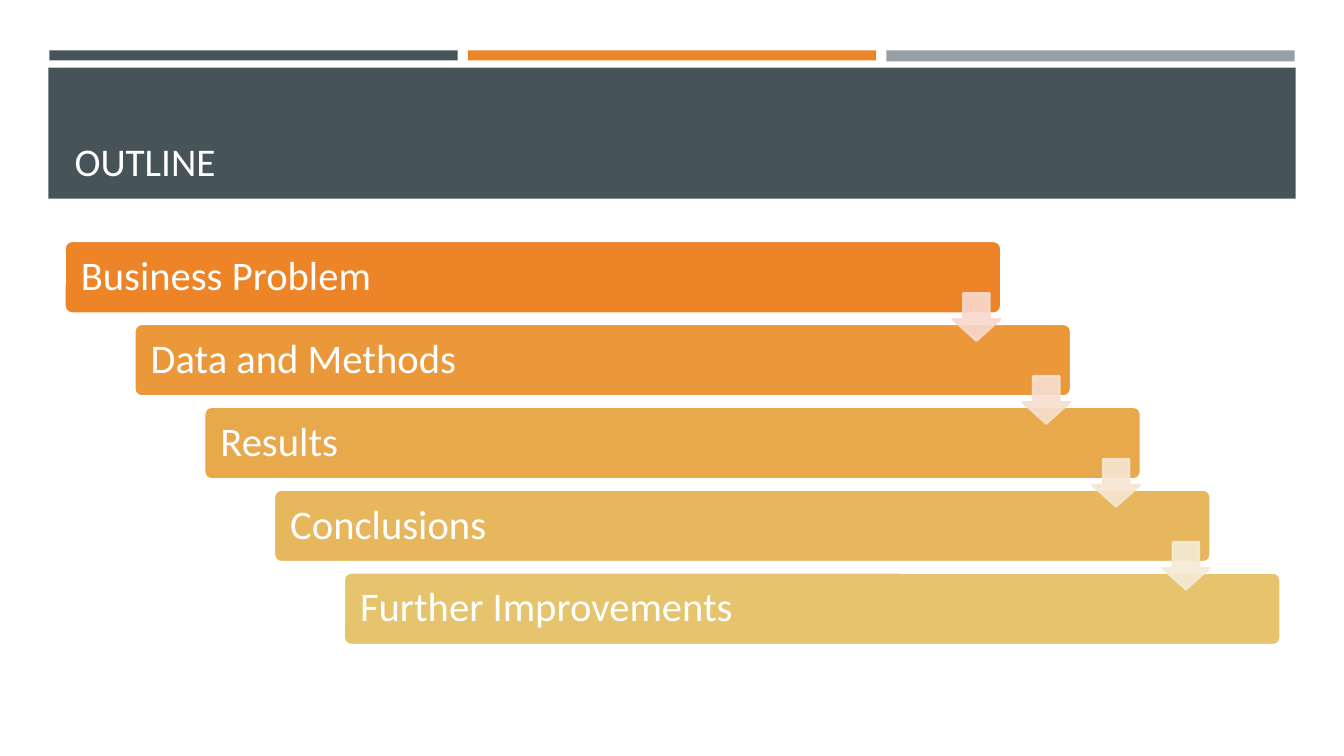
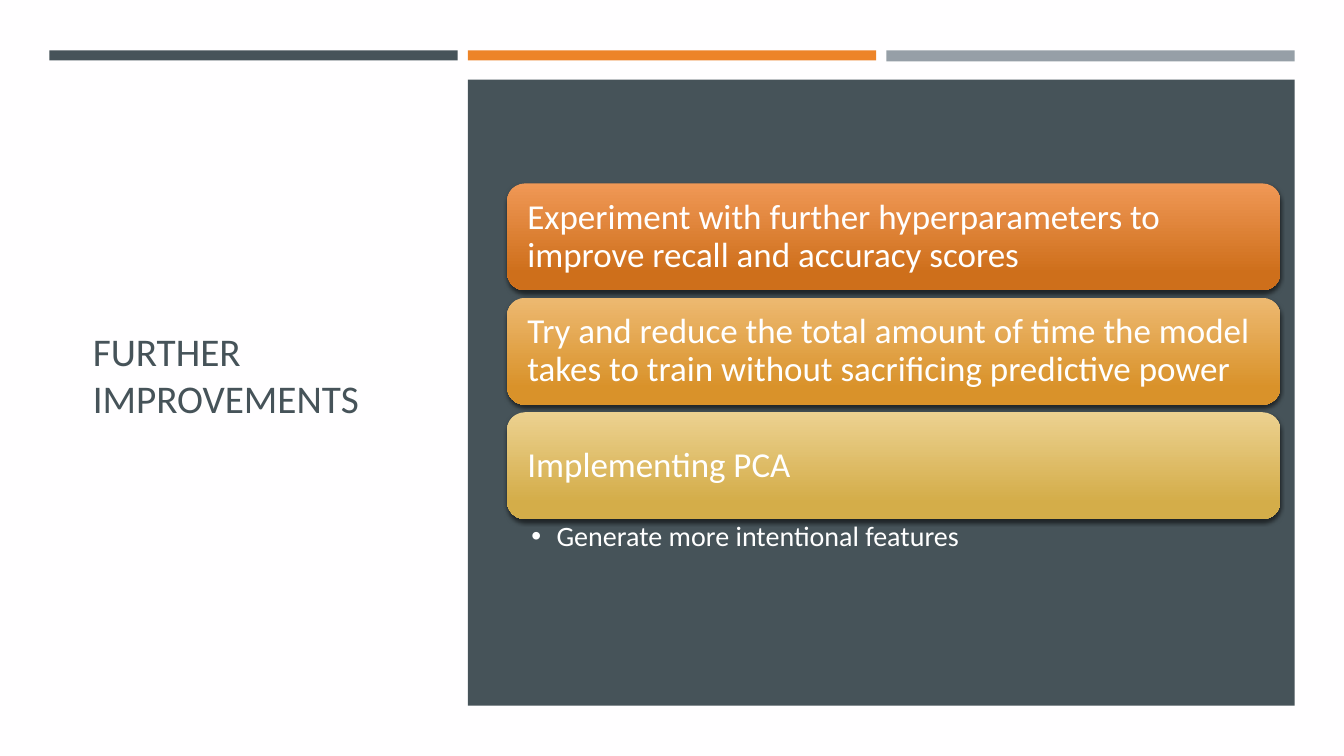
from pptx import Presentation
from pptx.dml.color import RGBColor
from pptx.enum.shapes import MSO_SHAPE
from pptx.enum.text import MSO_ANCHOR, MSO_AUTO_SIZE, PP_ALIGN
from pptx.oxml import parse_xml
from pptx.oxml.ns import nsdecls, qn
from pptx.util import Inches, Pt
from lxml.etree import SubElement

COLORS = {
    "slate": "465359",
    "orange": "ED8428",
    "gray": "969FA7",
    "white": "FFFFFF",
    "paper": "FFFEFF",
}
FONT = "Calibri"
TITLE_SIZE = 28
STRIPES = [("slate", 0.1), ("orange", 0.1), ("gray", 0.11)]

OUTLINE_STEPS = [
    ("Business Problem", "ED8428"),
    ("Data and Methods", "EA983A"),
    ("Results", "E8A94C"),
    ("Conclusions", "E7B75D"),
    ("Further Improvements", "E6C46D"),
]
ARROW_COLORS = ["F8D9CD", "F7DFD0", "F6E5D2", "F5EAD5"]
IMPROVEMENTS = [
    ("Experiment with further hyperparameters to improve recall and accuracy scores",
     "F09856", "CE6F1B"),
    ("Try and reduce the total amount of time the model takes to train "
     "without sacrificing predictive power", "EDB971", "D9922A"),
    ("Implementing PCA", "ECD190", "D4AD49"),
]


def rgb(value):
    return RGBColor.from_string(COLORS.get(value, value))


def place(shape, left, top, width, height):
    shape.left, shape.top = Inches(left), Inches(top)
    shape.width, shape.height = Inches(width), Inches(height)


def add_block(slide, kind, box, color=None, outline=None):
    block = slide.shapes.add_shape(kind, *map(Inches, box))
    block.shadow.inherit = False
    if color:
        block.fill.solid()
        block.fill.fore_color.rgb = rgb(color)
    if outline:
        block.line.color.rgb = rgb(outline)
        block.line.width = Pt(1.75)
    else:
        block.line.fill.background()
    return block


def add_panel(slide, box, color):
    panel = add_block(slide, MSO_SHAPE.RECTANGLE, box, color)
    panel.element.getparent().insert(2, panel.element)


def add_stripes(slide):
    for index, (color, height) in enumerate(STRIPES):
        add_panel(slide, (0.49 + index * 4.15, 0.5, 4.05, height), color)


def write(shape, text, size, color, anchor, margins, line_spacing=1.0):
    frame = shape.text_frame
    frame.word_wrap = True
    frame.auto_size = MSO_AUTO_SIZE.NONE
    frame.vertical_anchor = anchor
    (frame.margin_left, frame.margin_top,
     frame.margin_right, frame.margin_bottom) = map(Inches, margins)
    paragraph = frame.paragraphs[0]
    paragraph.alignment = PP_ALIGN.LEFT
    paragraph.line_spacing = line_spacing
    paragraph.space_before = Pt(0)
    run = paragraph.add_run()
    run.text = text
    run.font.name = FONT
    run.font.size = Pt(size)
    run.font.color.rgb = rgb(color)
    return paragraph


def write_title(slide, text, box, color, anchor):
    place(slide.shapes.title, *box)
    write(slide.shapes.title, text, TITLE_SIZE, color, anchor, (0.1, 0.05, 0.1, 0.05))


def add_step(slide, text, color, left, top):
    step = add_block(slide, MSO_SHAPE.ROUNDED_RECTANGLE,
                     (left, top, 9.29, 0.72), color, "white")
    step.adjustments[0] = 0.1
    write(step, text, 29, "white", MSO_ANCHOR.MIDDLE, (0.14,) * 4, 0.9)


def add_step_arrow(slide, color, left, top):
    arrow = add_block(slide, MSO_SHAPE.DOWN_ARROW, (left, top, 0.47, 0.47), color, color)
    arrow.adjustments[0] = 0.55
    arrow.adjustments[1] = 0.45
    for tint in arrow.element.spPr.iter(qn("a:srgbClr")):
        SubElement(tint, qn("a:alpha"), val="90000")


def add_card(slide, text, top_color, bottom_color, top):
    card = add_block(slide, MSO_SHAPE.ROUNDED_RECTANGLE, (5.03, top, 7.67, 1.06))
    card.fill.gradient()
    card.fill.gradient_angle = 270
    for stop, color, position in zip(card.fill.gradient_stops,
                                     (top_color, bottom_color), (0, 0.84)):
        stop.color.rgb = rgb(color)
        stop.position = position
    card.element.spPr.find(qn("a:effectLst")).append(parse_xml(
        f'<a:outerShdw {nsdecls("a")} blurRad="{Pt(3)}" dist="{Pt(2)}" '
        'dir="5400000" rotWithShape="0"><a:srgbClr val="000000">'
        '<a:alpha val="55000"/></a:srgbClr></a:outerShdw>'))
    write(card, text, 25, "white", MSO_ANCHOR.MIDDLE, (0.15,) * 4, 0.9)


def write_bullet(body, text, box):
    place(body, *box)
    paragraph = write(body, text, 20, "white", MSO_ANCHOR.TOP,
                      (0.24, 0.03, 0.19, 0.03), 0.9)
    properties = paragraph._p.get_or_add_pPr()
    properties.set("marL", str(Inches(0.25)))
    properties.set("indent", str(Inches(-0.25)))
    SubElement(properties, qn("a:buChar"), char="•")


def new_slide(deck, layout_index, background):
    slide = deck.slides.add_slide(deck.slide_layouts[layout_index])
    slide.background.fill.solid()
    slide.background.fill.fore_color.rgb = rgb(background)
    add_stripes(slide)
    return slide


def build_outline(deck):
    slide = new_slide(deck, 5, "white")
    add_panel(slide, (0.48, 0.67, 12.37, 1.3), "slate")
    write_title(slide, "OUTLINE", (0.64, 0.77, 12.06, 1.11), "paper", MSO_ANCHOR.BOTTOM)
    step_right, step_down = 2.77 / 4, 3.29 / 4
    for index, (text, color) in enumerate(OUTLINE_STEPS):
        add_step(slide, text, color, 0.64 + index * step_right, 2.39 + index * step_down)
    for index, color in enumerate(ARROW_COLORS):
        add_step_arrow(slide, color, 9.45 + index * step_right, 2.91 + index * step_down)


def build_improvements(deck):
    slide = new_slide(deck, 1, "paper")
    add_panel(slide, (4.64, 0.79, 8.2, 6.21), "slate")
    write_title(slide, "FURTHER IMPROVEMENTS", (0.82, 1.14, 3.34, 5.15),
                "slate", MSO_ANCHOR.MIDDLE)
    for index, (text, top_color, bottom_color) in enumerate(IMPROVEMENTS):
        add_card(slide, text, top_color, bottom_color, 1.82 + index * 1.135)
    write_bullet(slide.placeholders[1], "Generate more intentional features",
                 (5.03, 5.15, 7.67, 0.45))


def main():
    deck = Presentation()
    deck.slide_width, deck.slide_height = Inches(13.33), Inches(7.5)
    build_outline(deck)
    build_improvements(deck)
    deck.save("out.pptx")


if __name__ == "__main__":
    main()
